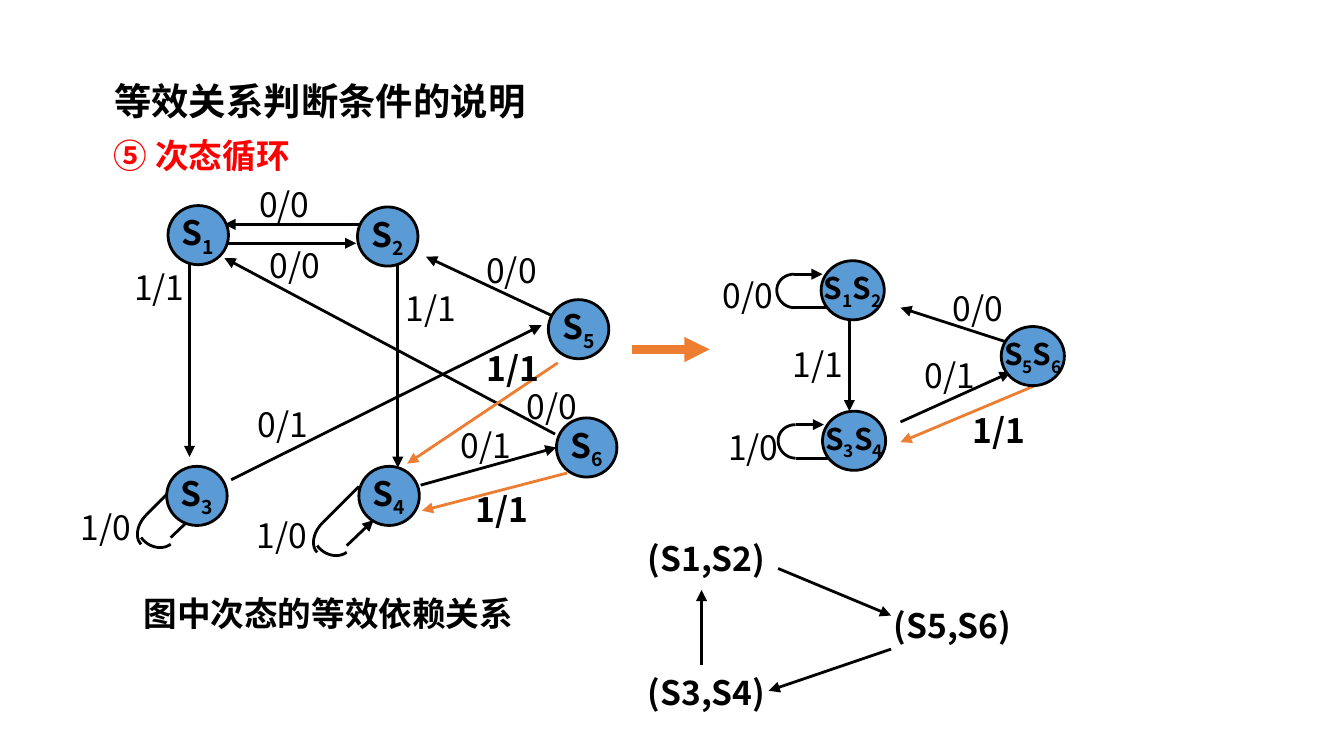
"""Build the slide on circular next-state equivalence with its state diagrams."""
from lxml import etree
from pptx import Presentation
from pptx.dml.color import RGBColor
from pptx.enum.shapes import MSO_CONNECTOR, MSO_SHAPE
from pptx.enum.text import MSO_ANCHOR, MSO_AUTO_SIZE, PP_ALIGN
from pptx.oxml.ns import qn
from pptx.util import Inches, Pt

STRAIGHT = MSO_CONNECTOR.STRAIGHT
OVAL = MSO_SHAPE.OVAL
LEFT, CENTER = PP_ALIGN.LEFT, PP_ALIGN.CENTER
TOP, MIDDLE = MSO_ANCHOR.TOP, MSO_ANCHOR.MIDDLE
NO_FIT = MSO_AUTO_SIZE.NONE

CELL = Inches(0.1)
COLS, ROWS = 100, 56.25
COLORS = {"black": "000000", "red": "FF0000", "node": "5B9BD5", "orange": "ED7D31"}
HEADING_FONT, LABEL_FONT = "Noto Sans CJK JP", "Noto Sans CJK SC"

BACK_EDGES = [
    ((76.6, 26), (67, 22.9), "0/0", (69.9, 20.9, 7, 4.4), "black"),
    ((77, 28.7), (67, 32.9), "1/1", (71.4, 30, 7, 4.4), "orange"),
    ((67, 31.4), (75.2, 27.7), "0/1", (67.8, 25.9, 6.6, 4.4), "black"),
    ((63.2, 23.8), (63.2, 30.6), "1/1", (58, 25.1, 7.8, 4.4), "black"),
    ((26.7, 16.7), (16.7, 16.7), "0/0", (18.3, 13.2, 7.7, 4.4), "black"),
    ((16.1, 18.1), (26.5, 18.1), "0/0", (19.1, 17.7, 8, 4.4), "black"),
    ((14.1, 17.9), (14.1, 34), "1/1", (9, 19.4, 6.9, 4.7), "black"),
    ((29.6, 19.4), (29.6, 34.8), "1/1", (29.2, 20.9, 7.4, 4.4), "black"),
    ((17.2, 35.7), (40.3, 24.2), "0/1", (18.2, 29.6, 8.3, 4.4), "black"),
    ((31.3, 36.1), (41.4, 33.3), "0/1", (33.3, 31.1, 8.1, 3.2), "black"),
]
FRONT_EDGES = [
    ((41.1, 23.5), (31.7, 19.1), "0/0", (35.2, 18.1, 6.8, 4.4), "black"),
    ((41.3, 32.3), (16.7, 19.2), "0/0", (38.2, 28.2, 7, 5.4), "black"),
    ((41.5, 27), (30.3, 34.5), "1/1", (35.2, 25.4, 7.4, 3.8), "orange"),
    ((42.2, 35.2), (31.4, 38), "1/1", (34.4, 35.9, 7.2, 2.8), "orange"),
]
NODES = [
    ("S1", 12.5, 15.3), ("S2", 26.6, 15.4), ("S3", 12.4, 34.7),
    ("S4", 26.7, 34.7), ("S5", 40.8, 22.3), ("S6", 41.4, 31.1),
    ("S1S2", 61.1, 19.4), ("S3S4", 61.2, 30.6), ("S5S6", 74.5, 24.3),
]
SIDE_LOOP = {
    "tail": ((61.8, 22.9), (59.1, 22.9)),
    "arcs": [((59.1, 22.9), (58.4, 22.9), (57.8, 22.3), (57.8, 21.6)),
             ((57.8, 21.6), (57.8, 20.9), (58.4, 20.4), (59.1, 20.4))],
    "arrow": ((59.1, 20.4), (61.2, 20.4)),
}
LOWER_LOOP = {
    "tail": ((26.7, 36.2), (24, 38.9)),
    "arcs": [((24, 38.9), (23.3, 39.6), (23.1, 40.6), (23.6, 41.1)),
             ((23.6, 40.6), (24.1, 41.3), (25.1, 41.6), (25.8, 41.1))],
    "arrow": ((25.8, 40.6), (27.8, 38.7)),
}
PAIRS = [("(S1,S2)", 47.2, 39.5), ("(S5,S6)", 65.5, 44.5), ("(S3,S4)", 47.2, 49.5)]
PAIR_ARROWS = [((52.2, 49.5), (52.2, 43.9)), ((57.9, 42.3), (66.3, 45.8)),
               ((66.3, 48.3), (57.2, 51.4))]


def emu(*cells):
    """Convert grid cells to whole EMU."""
    return [round(c * CELL) for c in cells]


def rgb(name):
    """Look up a palette colour."""
    return RGBColor.from_string(COLORS[name])


def write(tf, text, size=18, font=LABEL_FONT, color="black", bold=False,
          align=LEFT, anchor=TOP, wrap=True, spacing=None, subscripts=False):
    """Fill a text frame, lowering digits when subscripts is set."""
    tf.auto_size, tf.word_wrap, tf.vertical_anchor = NO_FIT, wrap, anchor
    p = tf.paragraphs[0]
    p.alignment = align
    if spacing:
        p.line_spacing = spacing
    for part in text if subscripts else [text]:
        r = p.add_run()
        r.text = part
        r.font.name, r.font.size, r.font.bold = font, Pt(size), bold
        r.font.color.rgb = rgb(color)
        rpr = r.font._element
        etree.SubElement(rpr, qn("a:ea"), typeface=font)
        if subscripts and part.isdigit():
            rpr.set("baseline", "-25000")


def add_text(s, text, box, **fmt):
    """Add a text box placed in grid cells."""
    write(s.shapes.add_textbox(*emu(*box)).text_frame, text, **fmt)


def add_line(s, start, end, color="black", width=1.5, arrow=True):
    """Add a straight connector with an optional arrowhead."""
    c = s.shapes.add_connector(STRAIGHT, *emu(*start, *end))
    c.line.color.rgb, c.line.width = rgb(color), Pt(width)
    if arrow:
        etree.SubElement(c.line._get_or_add_ln(), qn("a:tailEnd"), type="triangle")
    etree.SubElement(c._element.spPr, qn("a:effectLst"))


def add_edges(s, edges):
    """Add labelled transitions; the orange ones have bold labels."""
    for start, end, label, box, color in edges:
        add_line(s, start, end, color)
        add_text(s, label, box, bold=color == "orange")


def add_arc(s, points, steps=12):
    """Draw a cubic curve as an open outline."""
    a, b, c, d = points
    curve = []
    for i in range(steps + 1):
        t = i / steps
        u = 1 - t
        curve.append(emu(*(u**3 * a[k] + 3 * u * u * t * b[k] + 3 * u * t * t * c[k]
                           + t**3 * d[k] for k in (0, 1))))
    builder = s.shapes.build_freeform(*curve[0])
    builder.add_line_segments(curve[1:], close=False)
    sp = builder.convert_to_shape()
    sp.shadow.inherit = False
    sp.fill.background()
    sp.line.color.rgb, sp.line.width = rgb("black"), Pt(1.5)


def add_loop(s, loop, label, box, dx=0, dy=0):
    """Add a self-transition, shifted by dx and dy cells."""
    def shift(points):
        """Move points by the loop's offset."""
        return [(x + dx, y + dy) for x, y in points]
    add_line(s, *shift(loop["tail"]), arrow=False)
    for arc in loop["arcs"]:
        add_arc(s, shift(arc))
    add_line(s, *shift(loop["arrow"]))
    add_text(s, label, box)


def add_node(s, name, left, top):
    """Add a state circle; merged states are wider with smaller text."""
    merged = len(name) > 2
    sp = s.shapes.add_shape(OVAL, *emu(left, top, 4.7 if merged else 4.5, 4.4))
    sp.shadow.inherit = False
    sp.fill.solid()
    sp.fill.fore_color.rgb = rgb("node")
    sp.line.color.rgb, sp.line.width = rgb("black"), Pt(1.5)
    write(sp.text_frame, name, size=16 if merged else 18, bold=True, align=CENTER,
          anchor=MIDDLE, wrap=False, subscripts=True)


def add_title(s, text):
    """Place and fill the title placeholder."""
    sp = s.shapes.title
    sp.left, sp.top, sp.width, sp.height = emu(7.5, 5.8, 57.5, 3.8)
    write(sp.text_frame, text, size=20, font=HEADING_FONT, bold=True,
          anchor=MIDDLE, spacing=0.9)


def main():
    """Build and save the slide."""
    prs = Presentation()
    prs.slide_width, prs.slide_height = emu(COLS, ROWS)
    s = prs.slides.add_slide(prs.slide_layouts[5])
    add_title(s, "等效关系判断条件的说明")
    add_text(s, "⑤ 次态循环", (7.5, 9.9, 28.3, 3.7), font=HEADING_FONT,
             color="red", bold=True, spacing=0.9)
    add_edges(s, BACK_EDGES)
    add_loop(s, SIDE_LOOP, "0/0", (52.8, 20, 6.5, 4.4))
    add_loop(s, SIDE_LOOP, "1/0", (53.2, 31.3, 6.3, 4.4), dx=0.1, dy=11.2)
    add_loop(s, LOWER_LOOP, "1/0", (5, 37.2, 7.5, 4.4), dx=-13.1, dy=-0.6)
    for node in NODES:
        add_node(s, *node)
    add_line(s, (47, 26), (52.8, 26), "orange", 4.5)
    add_edges(s, FRONT_EDGES)
    add_loop(s, LOWER_LOOP, "1/0", (18.1, 37.8, 7.5, 4.4))
    add_text(s, "图中次态的等效依赖关系", (9.7, 43.6, 46.7, 4),
             font=HEADING_FONT, bold=True)
    for text, left, top in PAIRS:
        add_text(s, text, (left, top, 12.5, 4), bold=True)
    for start, end in PAIR_ARROWS:
        add_line(s, start, end)
    prs.save("out.pptx")


if __name__ == "__main__":
    main()
